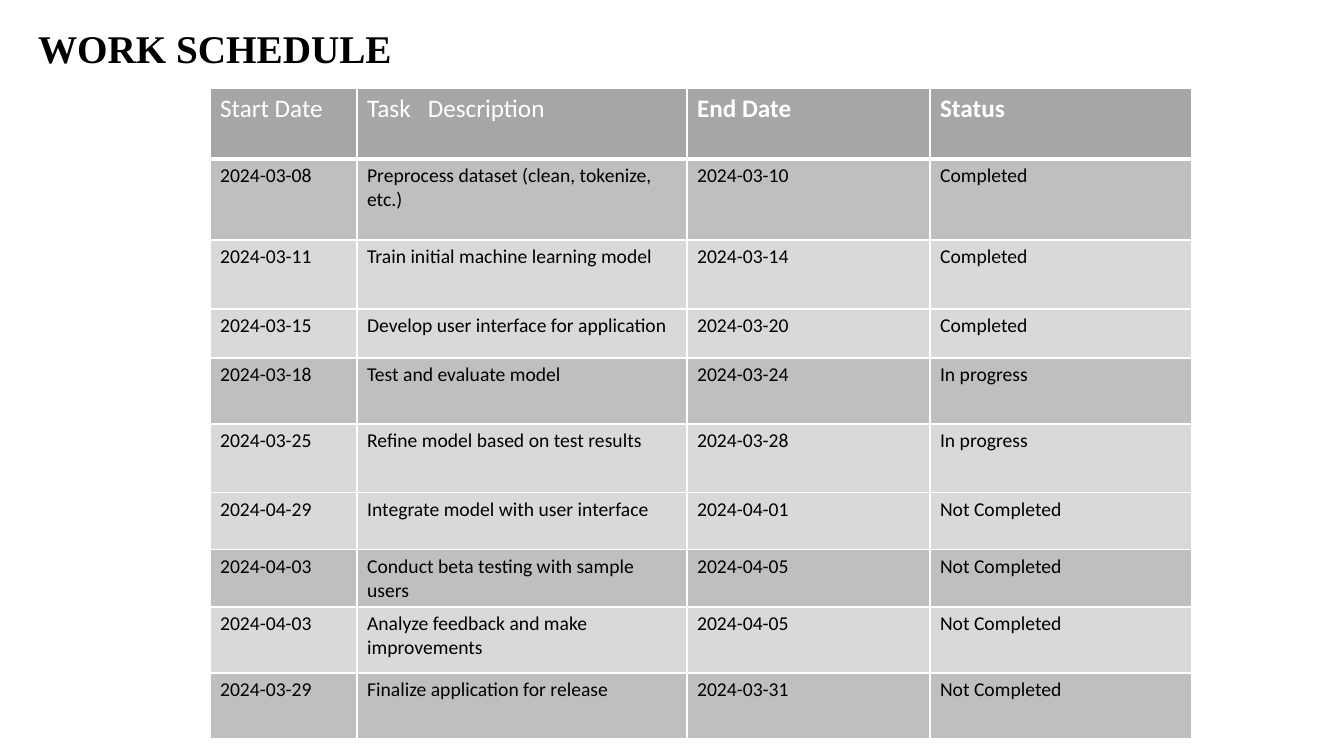
"""Build the work schedule slide."""
from lxml.etree import SubElement
from pptx import Presentation
from pptx.dml.color import RGBColor as RGB
from pptx.enum.text import MSO_ANCHOR as Anchor, MSO_AUTO_SIZE as AutoSize, PP_ALIGN as Align
from pptx.oxml.ns import qn
from pptx.util import Pt

EMU_PER_PX = 914400 / 100.8
BLACK = RGB(0x00, 0x00, 0x00)
WHITE = RGB(0xFF, 0xFF, 0xFF)
HEADER_GREY = RGB(0xA6, 0xA6, 0xA6)
DARK_GREY = RGB(0xBF, 0xBF, 0xBF)
LIGHT_GREY = RGB(0xD9, 0xD9, 0xD9)

COLUMN_WIDTHS = (147, 330, 243, 262)
HEADER_HEIGHT = 71
HEADINGS = (("Start Date", False), ("Task   Description", False),
            ("End Date", True), ("Status", True))
TASKS = (
    (81, DARK_GREY, "2024-03-08", "Preprocess dataset (clean, tokenize, etc.)",
     "2024-03-10", "Completed"),
    (69, LIGHT_GREY, "2024-03-11", "Train initial machine learning model",
     "2024-03-14", "Completed"),
    (49, LIGHT_GREY, "2024-03-15", "Develop user interface for application",
     "2024-03-20", "Completed"),
    (66, DARK_GREY, "2024-03-18", "Test and evaluate model",
     "2024-03-24", "In progress"),
    (69, LIGHT_GREY, "2024-03-25", "Refine model based on test results",
     "2024-03-28", "In progress"),
    (57, LIGHT_GREY, "2024-04-29", "Integrate model with user interface",
     "2024-04-01", "Not Completed"),
    (57, DARK_GREY, "2024-04-03", "Conduct beta testing with sample users",
     "2024-04-05", "Not Completed"),
    (66, LIGHT_GREY, "2024-04-03", "Analyze feedback and make improvements",
     "2024-04-05", "Not Completed"),
    (66, DARK_GREY, "2024-03-29", "Finalize application for release",
     "2024-03-31", "Not Completed"),
)


def px(length):
    """Turn pixels into EMU."""
    return round(length * EMU_PER_PX)


def apply(target, values):
    """Set each named attribute on the target."""
    for name, value in values.items():
        setattr(target, name, value)


class ScheduleSlide:
    """Hold the slide and its text styles."""

    TITLE = {"name": "Times New Roman", "size": Pt(28), "bold": True}
    HEADING = {"name": "Calibri", "size": Pt(18)}
    BODY = {"name": "Calibri", "size": Pt(14), "bold": False}

    def __init__(self, deck):
        """Add a title-only slide to the deck."""
        self.slide = deck.slides.add_slide(deck.slide_layouts[5])

    def label(self, frame, text, font, color):
        """Put one styled paragraph into a text frame."""
        paragraph = frame.paragraphs[0]
        paragraph.alignment = Align.LEFT
        run = paragraph.add_run()
        run.text = text
        apply(run.font, font)
        run.font.color.rgb = color

    def title(self, text, left, top, width, height):
        """Place and fill the title placeholder."""
        heading = self.slide.shapes.title
        apply(heading, {"left": px(left), "top": px(top),
                        "width": px(width), "height": px(height)})
        apply(heading.text_frame, {"word_wrap": True, "vertical_anchor": Anchor.TOP,
                                   "auto_size": AutoSize.SHAPE_TO_FIT_TEXT})
        self.label(heading.text_frame, text, self.TITLE, BLACK)

    def border(self, cell, color, bottom):
        """Draw the four cell borders, the bottom one at its own weight."""
        properties = cell._tc.get_or_add_tcPr()
        weights = {"a:lnL": 1, "a:lnR": 1, "a:lnT": 1, "a:lnB": bottom}
        for position, (side, weight) in enumerate(weights.items()):
            line = SubElement(properties, qn(side), w=str(Pt(weight)))
            fill = SubElement(line, qn("a:solidFill"))
            SubElement(fill, qn("a:srgbClr"), val=str(color))
            properties.insert(position, line)

    def cell(self, cell, text, font, color, fill, bottom=1):
        """Fill, border and label one cell."""
        cell.fill.solid()
        cell.fill.fore_color.rgb = fill
        self.border(cell, WHITE, bottom)
        self.label(cell.text_frame, text, font, color)

    def table(self, left, top, widths, headings, tasks):
        """Add the schedule with its heading row and task rows."""
        heights = [HEADER_HEIGHT] + [task[0] for task in tasks]
        schedule = self.slide.shapes.add_table(
            len(heights), len(widths), px(left), px(top),
            px(sum(widths)), px(sum(heights))).table
        for column, width in zip(schedule.columns, widths):
            column.width = px(width)
        for row, height in zip(schedule.rows, heights):
            row.height = px(height)
        for column, (heading, bold) in enumerate(headings):
            self.cell(schedule.cell(0, column), heading,
                      {**self.HEADING, "bold": bold}, WHITE, HEADER_GREY, bottom=3)
        for row, (_, shade, *entries) in enumerate(tasks, 1):
            for column, entry in enumerate(entries):
                self.cell(schedule.cell(row, column), entry, self.BODY, BLACK, shade)


def main():
    """Build and save the deck."""
    deck = Presentation()
    apply(deck, {"slide_width": px(1344), "slide_height": px(756)})
    page = ScheduleSlide(deck)
    page.title("WORK SCHEDULE", 28, 19, 672, 57)
    page.table(210, 88, COLUMN_WIDTHS, HEADINGS, TASKS)
    deck.save("out.pptx")


if __name__ == "__main__":
    main()
